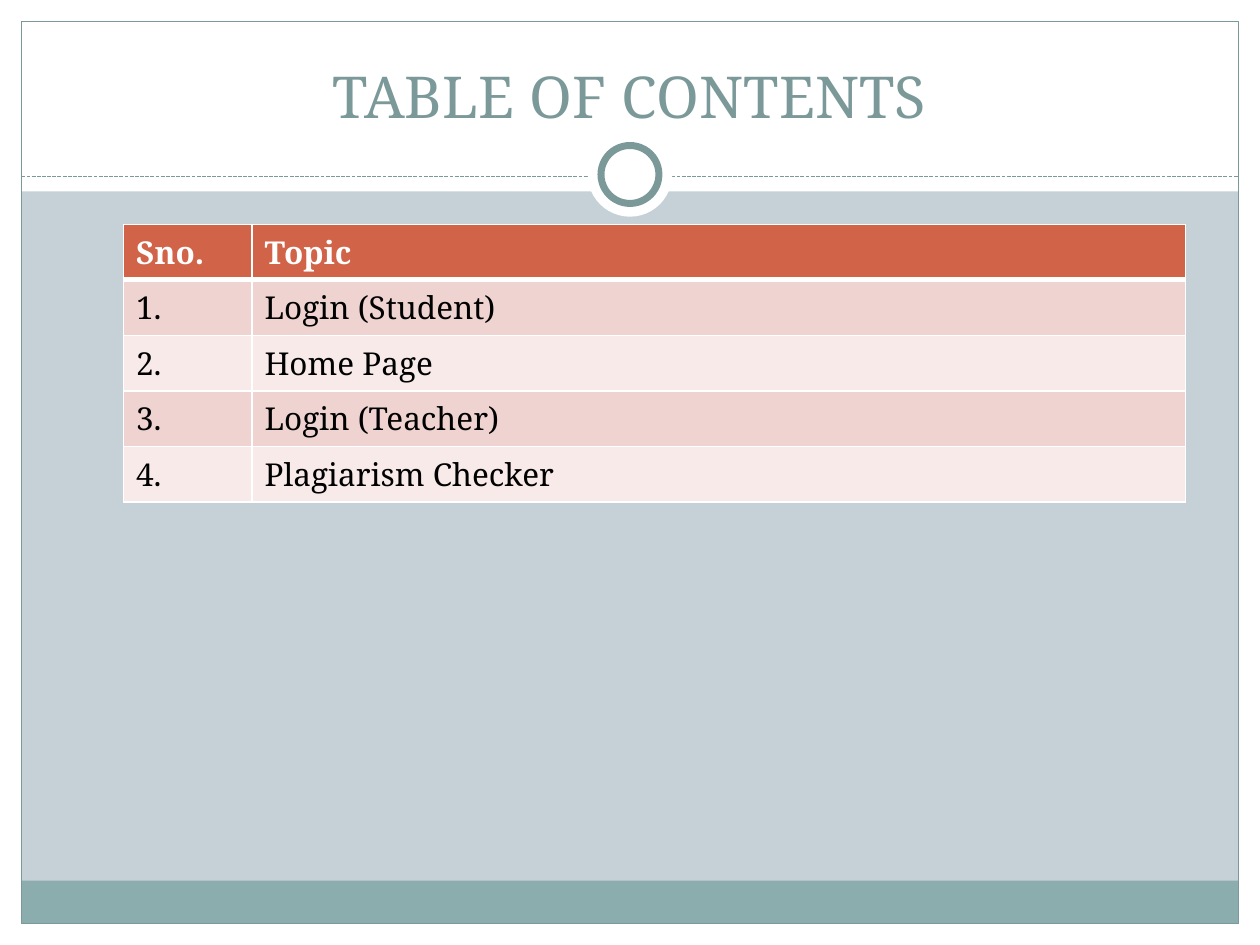
from lxml.etree import SubElement
from pptx import Presentation
from pptx.dml.color import RGBColor
from pptx.enum.dml import MSO_LINE
from pptx.enum.shapes import MSO_CONNECTOR, MSO_SHAPE
from pptx.enum.text import MSO_ANCHOR, MSO_AUTO_SIZE, PP_ALIGN
from pptx.oxml import parse_xml
from pptx.oxml.ns import nsdecls, qn
from pptx.util import Inches, Pt

WHITE = RGBColor(0xFF, 0xFF, 0xFF)
BLACK = RGBColor(0x00, 0x00, 0x00)
BACKGROUND = RGBColor(0xC5, 0xD1, 0xD7)
FOOTER = RGBColor(0x8C, 0xAD, 0xAE)
ACCENT = RGBColor(0x7C, 0x99, 0x9A)
HEADER = RGBColor(0xD1, 0x63, 0x49)
ODD_ROW = RGBColor(0xEE, 0xD3, 0xD0)
EVEN_ROW = RGBColor(0xF7, 0xEA, 0xE9)
FONT = "Noto Serif"
MARGIN = 0.17
TOPICS = [
    ("Sno.", "Topic"),
    ("1.", "Login (Student)"),
    ("2.", "Home Page"),
    ("3.", "Login (Teacher)"),
    ("4.", "Plagiarism Checker"),
]


def set_values(target, values):
    for name, value in values.items():
        setattr(target, name, value)


def add_part(page, kind, box, fill=None, line=None, line_width=0.75):
    part = page.shapes.add_shape(kind, *map(Inches, box))
    part.shadow.inherit = False
    if fill is None:
        part.fill.background()
    else:
        part.fill.solid()
        part.fill.fore_color.rgb = fill
    if line is None:
        part.line.fill.background()
    else:
        part.line.color.rgb = line
        part.line.width = Pt(line_width)
    return part


def add_frame(page, box):
    left, top, width, height = box
    right, bottom = left + width, top + height
    inner_width, inner_height = width - 2 * MARGIN, height - 2 * MARGIN
    margins = [
        (left, bottom - MARGIN, width, MARGIN),
        (left, top, width, 1.52),
        (left, top, MARGIN, height),
        (right - MARGIN, top, MARGIN, height),
    ]
    for margin in margins:
        add_part(page, MSO_SHAPE.RECTANGLE, margin, WHITE)
    footer = (left + MARGIN, bottom - MARGIN - 0.34, inner_width, 0.34)
    add_part(page, MSO_SHAPE.RECTANGLE, footer, FOOTER)
    outline = (left + MARGIN, top + MARGIN, inner_width, inner_height)
    add_part(page, MSO_SHAPE.RECTANGLE, outline, line=ACCENT)


def add_divider(page, box):
    left, top, width, height = box
    line_top = Inches(top + 0.35)
    divider = page.shapes.add_connector(
        MSO_CONNECTOR.STRAIGHT, Inches(left), line_top, Inches(left + width), line_top
    )
    divider.line.color.rgb = ACCENT
    set_values(divider.line, {"width": Pt(0.75), "dash_style": MSO_LINE.SQUARE_DOT})
    SubElement(divider.element.spPr, qn("a:effectLst"))
    for size, line in ((height, None), (0.46, ACCENT)):
        circle = (left + (width - size) / 2, top + (height - size) / 2, size, size)
        add_part(page, MSO_SHAPE.OVAL, circle, WHITE, line, 4)


def place_title(page, box, text):
    title = page.shapes.title
    left, top, width, height = map(Inches, box)
    set_values(title, {"left": left, "top": top, "width": width, "height": height})
    title.element.getparent().append(title.element)
    frame = title.text_frame
    frame.text = text
    set_values(frame, {
        "vertical_anchor": MSO_ANCHOR.BOTTOM,
        "word_wrap": True,
        "auto_size": MSO_AUTO_SIZE.NONE,
    })
    para = frame.paragraphs[0]
    para.alignment = PP_ALIGN.CENTER
    span = para.runs[0]
    set_values(span.font, {"name": FONT, "size": Pt(33)})
    span.font.color.rgb = ACCENT


def set_borders(cell, widths):
    properties = cell._tc.get_or_add_tcPr()
    for index, (side, width) in enumerate(widths.items()):
        border = parse_xml(
            f'<a:{side} {nsdecls("a")} w="{Pt(width)}"><a:solidFill>'
            f'<a:srgbClr val="{WHITE}"/></a:solidFill></a:{side}>'
        )
        properties.insert(index, border)


def add_topics(page, box, rows):
    left, top, width, height = map(Inches, box)
    table = page.shapes.add_table(len(rows), 2, left, top, width, height).table
    number_width = Inches(1.02)
    table.columns[0].width = number_width
    table.columns[1].width = width - number_width
    for row_index, texts in enumerate(rows):
        is_header = row_index == 0
        fill = HEADER if is_header else (EVEN_ROW, ODD_ROW)[row_index % 2]
        widths = {
            "lnL": 1,
            "lnR": 1,
            "lnT": 3 if row_index == 1 else 1,
            "lnB": 3 if is_header else 1,
        }
        for column_index, text in enumerate(texts):
            cell = table.cell(row_index, column_index)
            cell.text = text
            cell.fill.solid()
            cell.fill.fore_color.rgb = fill
            set_borders(cell, widths)
            font = cell.text_frame.paragraphs[0].runs[0].font
            set_values(font, {"name": FONT, "size": Pt(18), "bold": is_header})
            font.color.rgb = WHITE if is_header else BLACK


def build_contents(deck):
    page = deck.slides.add_slide(deck.slide_layouts[5])
    page.background.fill.solid()
    page.background.fill.fore_color.rgb = BACKGROUND
    add_frame(page, (0, 0, 10, 7.5))
    add_divider(page, (MARGIN, 1.05, 9.66, 0.67))
    place_title(page, (0.33, 0.25, 9.33, 0.83), "TABLE OF CONTENTS")
    add_topics(page, (0.98, 1.78, 8.43, 2.03), TOPICS)


deck = Presentation()
set_values(deck, {"slide_width": Inches(10), "slide_height": Inches(7.5)})
build_contents(deck)
deck.save("out.pptx")
